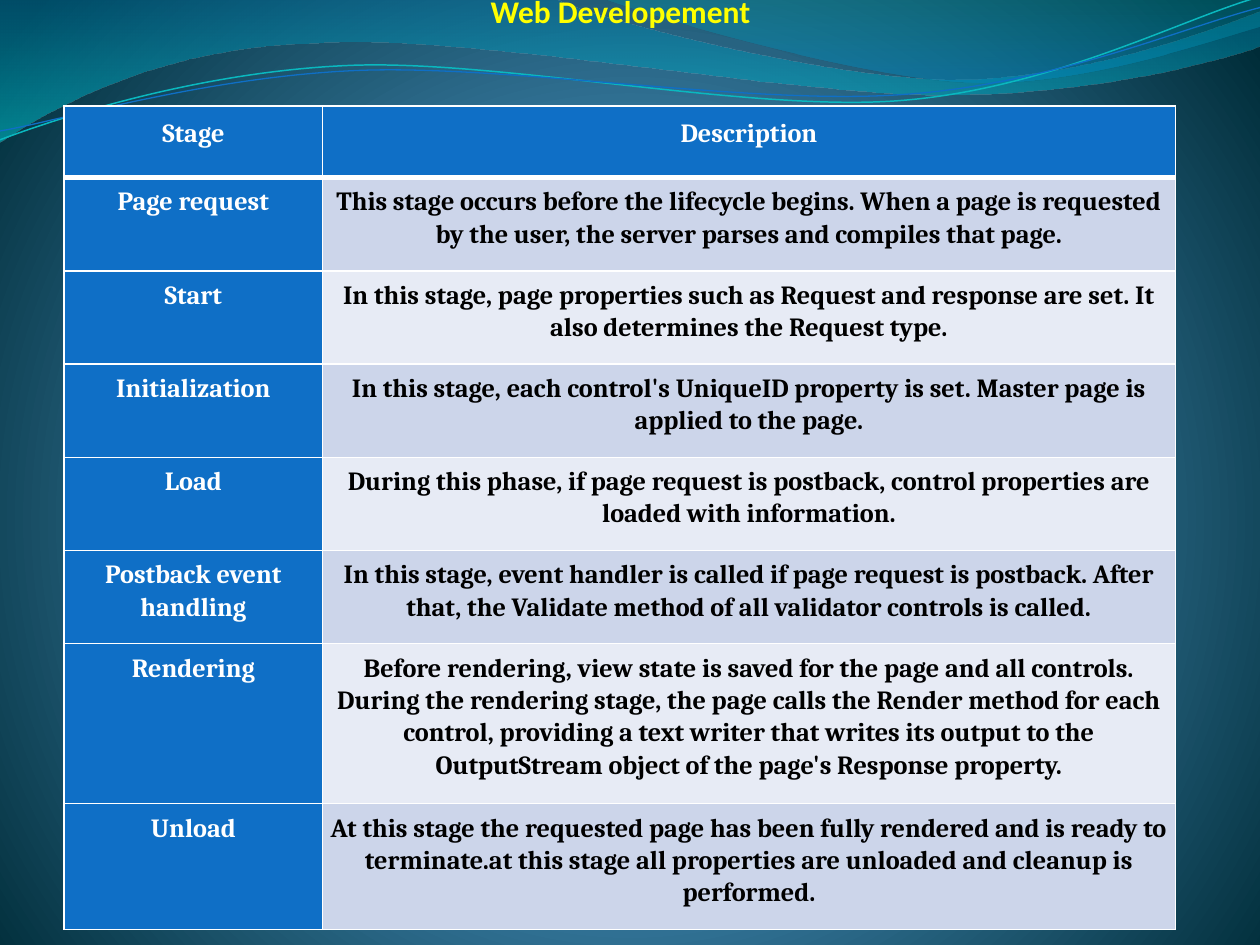
from lxml import etree
from pptx import Presentation
from pptx.dml.color import RGBColor
from pptx.enum.text import MSO_AUTO_SIZE, PP_ALIGN
from pptx.oxml import parse_xml
from pptx.oxml.ns import nsdecls, qn
from pptx.util import Pt

SCALE = 9144  # EMU per px, 100 px to the inch
CENTER = PP_ALIGN.CENTER
GROW = MSO_AUTO_SIZE.SHAPE_TO_FIT_TEXT

WHITE = RGBColor(0xFF, 0xFF, 0xFF)
BLACK = RGBColor(0x00, 0x00, 0x00)
YELLOW = RGBColor(0xFF, 0xFF, 0x00)
BLUE = RGBColor(0x0F, 0x6F, 0xC6)
AQUA = RGBColor(0x0A, 0xB8, 0xBF)
BAND_DARK = RGBColor(0xCC, 0xD5, 0xEA)
BAND_LIGHT = RGBColor(0xE7, 0xEB, 0xF5)
SKY = RGBColor(0x4A, 0xA0, 0xD6)
STEEL = RGBColor(0x4C, 0x98, 0xC7)
NIGHT = RGBColor(0x00, 0x2C, 0x38)
OCEAN = RGBColor(0x00, 0x74, 0xA1)
TURQUOISE = RGBColor(0x00, 0xC6, 0xCF)
TEAL = RGBColor(0x00, 0xA1, 0xA9)
CERULEAN = RGBColor(0x00, 0x8B, 0xBF)

DOWNWARD = '<a:lin ang="5400000" scaled="1"/>'
RADIAL = ('<a:path path="circle"><a:fillToRect l="10000" t="110000" '
          'r="10000" b="100000"/></a:path>')

# A wave is a start point and its segments: one point is a line, three a curve.
BROAD_WAVE = [(0, 0), [(440, -1)],
              [(476, 17), (664, 63), (758, 63)],
              [(853, 63), (958, 26), (1000, 9)],
              [(1001, 36)],
              [(983, 44), (870, 76), (746, 75)],
              [(622, 75), (382, 28), (257, 34)],
              [(129, 36), (46, 83), (-1, 113)]]
RIGHT_WAVE = [(479, -1),
              [(509, 11), (682, 62), (769, 65)],
              [(856, 69), (961, 32), (1000, 21)],
              [(1000, 0)]]
UPPER_LINE = [(0, 111),
              [(48, 93), (158, 57), (277, 52)],
              [(395, 47), (593, 89), (713, 80)],
              [(833, 71), (938, 15), (998, -2)]]
LOWER_LINE = [(0, 104),
              [(47, 96), (164, 61), (283, 56)],
              [(403, 51), (597, 84), (717, 75)],
              [(836, 67), (941, 21), (1000, 6)]]

STAGES = [
    ("Stage", "Description"),
    ("Page request",
     "This stage occurs before the lifecycle begins. When a page is requested "
     "by the user, the server parses and compiles that page."),
    ("Start",
     "In this stage, page properties such as Request and response are set. It "
     "also determines the Request type."),
    ("Initialization",
     "In this stage, each control's UniqueID property is set. Master page is "
     "applied to the page."),
    ("Load",
     "During this phase, if page request is postback, control properties are "
     "loaded with information."),
    ("Postback event handling",
     "In this stage, event handler is called if page request is postback. After "
     "that, the Validate method of all validator controls is called."),
    ("Rendering",
     "Before rendering, view state is saved for the page and all controls. "
     "During the rendering stage, the page calls the Render method for each "
     "control, providing a text writer that writes its output to the "
     "OutputStream object of the page's Response property."),
    ("Unload",
     "At this stage the requested page has been fully rendered and is ready to "
     "terminate.at this stage all properties are unloaded and cleanup is "
     "performed."),
]
COLUMN_WIDTHS = [205, 677]
ROW_HEIGHTS = [57] + [74] * 5 + [127, 100]


def px(length):
    return length * SCALE


def set_gradient(solid, stops, direction):
    """Replace a solid fill element with stops of (position %, colour, opacity %)."""
    stop_xml = "".join(
        f'<a:gs pos="{position * 1000}"><a:srgbClr val="{color}">'
        f'<a:alpha val="{opacity * 1000}"/></a:srgbClr></a:gs>'
        for position, color, opacity in stops)
    solid.getparent().replace(solid, parse_xml(
        f'<a:gradFill {nsdecls("a")} rotWithShape="1"><a:gsLst>{stop_xml}'
        f'</a:gsLst>{direction}</a:gradFill>'))


def set_borders(cell, widths):
    properties = cell._tc.get_or_add_tcPr()
    for side, width in widths.items():
        properties.append(parse_xml(
            f'<a:ln{side} {nsdecls("a")} w="{Pt(width)}"><a:solidFill>'
            f'<a:srgbClr val="{WHITE}"/></a:solidFill></a:ln{side}>'))


class SlideBuilder:
    def __init__(self, slide):
        self.slide = slide

    def background(self, stops):
        self.slide.background.fill.solid()
        solid = next(self.slide._element.cSld.iter(qn("a:solidFill")))
        set_gradient(solid, stops, RADIAL)

    def curve(self, wave, closed):
        start, *segments = wave
        builder = self.slide.shapes.build_freeform(*start, scale=SCALE)
        builder.add_line_segments(
            [point for segment in segments for point in segment], close=closed)
        shape = builder.convert_to_shape()
        shape.shadow.inherit = False
        lines = iter(list(shape._element.iter(qn("a:lnTo"))))
        for segment in segments:
            parts = [next(lines) for _ in segment]
            if len(parts) == 3:
                bezier = etree.Element(qn("a:cubicBezTo"))
                parts[0].addprevious(bezier)
                for part in parts:
                    bezier.append(part[0])
                    part.getparent().remove(part)
        return shape

    def filled_wave(self, wave, stops):
        shape = self.curve(wave, closed=True)
        shape.line.fill.background()
        shape.fill.solid()
        set_gradient(shape._element.spPr.find(qn("a:solidFill")), stops, DOWNWARD)

    def wave_line(self, wave, color, width):
        shape = self.curve(wave, closed=False)
        shape.fill.background()
        shape.line.color.rgb = color
        shape.line.width = Pt(width)

    def style(self, para, font, size, color):
        para.alignment = CENTER
        for run in para.runs:
            run.font.name = font
            run.font.size = Pt(size)
            run.font.bold = True
            run.font.color.rgb = color

    def title(self, text, left, top, width, height):
        box = self.slide.shapes.add_textbox(px(left), px(top), px(width), px(height))
        frame = box.text_frame
        frame.word_wrap = True
        frame.auto_size = GROW
        frame.text = text
        self.style(frame.paragraphs[0], "Calibri", 18, YELLOW)

    def table(self, rows, left, top):
        table = self.slide.shapes.add_table(
            len(rows), len(COLUMN_WIDTHS), px(left), px(top),
            px(sum(COLUMN_WIDTHS)), px(sum(ROW_HEIGHTS))).table
        for column, width in zip(table.columns, COLUMN_WIDTHS):
            column.width = px(width)
        for row, height in zip(table.rows, ROW_HEIGHTS):
            row.height = px(height)
        for row_index, texts in enumerate(rows):
            for column_index, text in enumerate(texts):
                self.cell(table.cell(row_index, column_index), text,
                          row_index, column_index)

    def cell(self, cell, text, row_index, column_index):
        set_borders(cell, {"L": 1, "R": 1, "T": 3 if row_index == 1 else 1,
                           "B": 3 if row_index == 0 else 1})
        is_heading = row_index == 0 or column_index == 0
        band = BAND_DARK if row_index % 2 else BAND_LIGHT
        cell.fill.solid()
        cell.fill.fore_color.rgb = BLUE if is_heading else band
        inset = px(9 if row_index == 0 else 6)
        cell.margin_left = cell.margin_right = inset
        cell.margin_top = cell.margin_bottom = inset
        cell.text_frame.text = text
        para = cell.text_frame.paragraphs[0]
        para.line_spacing = 1.07
        self.style(para, "Cambria", 15, WHITE if is_heading else BLACK)


def main():
    deck = Presentation()
    deck.slide_width, deck.slide_height = px(1000), px(750)
    page = SlideBuilder(deck.slides.add_slide(deck.slide_layouts[6]))
    page.background([(0, SKY, 100), (25, STEEL, 100), (100, NIGHT, 100)])
    page.filled_wave(BROAD_WAVE, [(0, OCEAN, 45), (100, TURQUOISE, 55)])
    page.filled_wave(RIGHT_WAVE, [(0, TEAL, 30), (80, CERULEAN, 45)])
    page.wave_line(UPPER_LINE, AQUA, 0.85)
    page.wave_line(LOWER_LINE, BLUE, 0.75)
    page.title("Web Developement", 180, -11, 625, 40)
    page.table(STAGES, 51, 84)
    deck.save("out.pptx")


if __name__ == "__main__":
    main()
